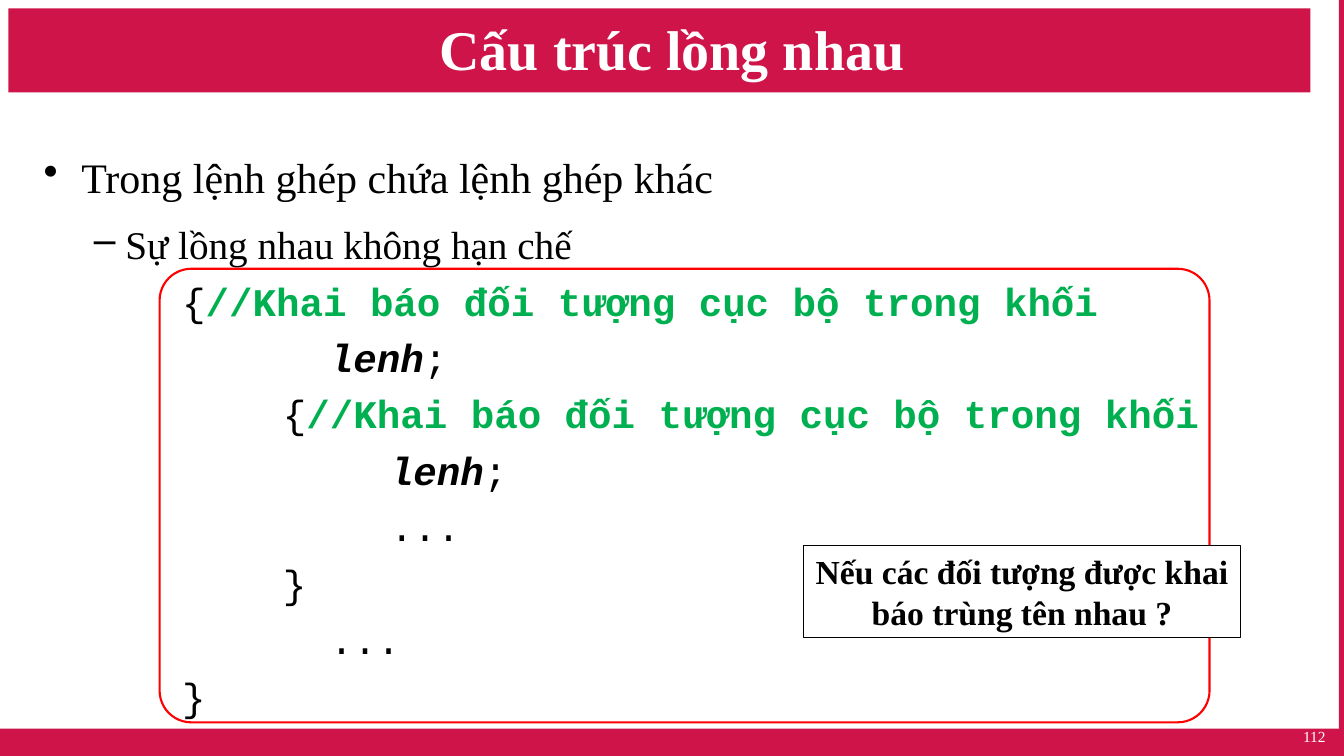
from dataclasses import dataclass, field
from typing import Any, Optional

from lxml import etree
from pptx import Presentation
from pptx.dml import color
from pptx.enum import shapes, text
from pptx.oxml import ns
from pptx.util import Pt


@dataclass(frozen=True)
class Theme:
    crimson: str = "CE1449"
    white: str = "FFFFFF"
    black: str = "000000"
    red: str = "FF0000"
    comment: str = "00B050"
    serif: str = "Times New Roman"
    mono: str = "Courier New"
    title: float = 40
    point: float = 30
    detail: float = 28
    callout: float = 24
    number: float = 11


THEME = Theme()


@dataclass(frozen=True)
class Box:
    left: float
    top: float
    width: float
    height: float

    def lengths(self) -> tuple[Pt, Pt, Pt, Pt]:
        return Pt(self.left), Pt(self.top), Pt(self.width), Pt(self.height)


@dataclass(frozen=True)
class Style:
    size: float
    name: str = THEME.serif
    color: str = THEME.black
    bold: bool = False
    italic: bool = False


@dataclass(frozen=True)
class Line:
    runs: list[tuple[str, Style]]
    format: dict[str, Any] = field(default_factory=dict)
    indent: float = 0
    hanging: float = 0
    bullet: Optional[str] = None


@dataclass(frozen=True)
class Panel:
    box: Box
    fill: Optional[str] = None
    line: Optional[str] = None
    line_width: float = 0
    kind: Any = shapes.MSO_SHAPE.RECTANGLE
    corner: Optional[float] = None


def set_attributes(target: Any, values: dict[str, Any]) -> None:
    for name, value in values.items():
        setattr(target, name, value)


def rgb(value: str) -> color.RGBColor:
    return color.RGBColor.from_string(value)


def add_panel(slide: Any, panel: Panel) -> Any:
    shape = slide.shapes.add_shape(panel.kind, *panel.box.lengths())
    shape.shadow.inherit = False
    if panel.corner is not None:
        shape.adjustments[0] = panel.corner
    if panel.fill:
        shape.fill.solid()
        shape.fill.fore_color.rgb = rgb(panel.fill)
    else:
        shape.fill.background()
    if panel.line:
        shape.line.color.rgb = rgb(panel.line)
        shape.line.width = Pt(panel.line_width)
    else:
        shape.line.fill.background()
    return shape


def write_lines(shape: Any, lines: list[Line], frame_format: dict[str, Any]) -> None:
    frame = shape.text_frame
    set_attributes(frame, {"word_wrap": True, **frame_format})
    for index, line in enumerate(lines):
        paragraph = frame.add_paragraph() if index else frame.paragraphs[0]
        properties = paragraph._p.get_or_add_pPr()
        if line.indent:
            properties.set("marL", str(Pt(line.indent)))
            properties.set("indent", str(Pt(-line.hanging)))
        if line.bullet:
            bullet = etree.SubElement(properties, ns.qn("a:buChar"))
            bullet.set("char", line.bullet)
        set_attributes(paragraph, line.format)
        for words, style in line.runs:
            run = paragraph.add_run()
            run.text = words
            set_attributes(run.font, {
                "name": style.name,
                "size": Pt(style.size),
                "bold": style.bold,
                "italic": style.italic,
            })
            run.font.color.rgb = rgb(style.color)


def add_text(slide: Any, box: Box, lines: list[Line], frame_format: dict[str, Any]) -> None:
    write_lines(slide.shapes.add_textbox(*box.lengths()), lines, frame_format)


def body_lines() -> list[Line]:
    justified = {"alignment": text.PP_ALIGN.JUSTIFY}
    point_format = {**justified, "line_spacing": 1.4}
    code_format = {**justified, "line_spacing": 1.2}
    plain = Style(THEME.detail, THEME.mono)
    comment = Style(THEME.detail, THEME.mono, THEME.comment, bold=True)
    command = Style(THEME.detail, THEME.mono, bold=True, italic=True)
    opening = [("{", plain), ("//Khai báo đối tượng cục bộ trong khối", comment)]
    call = [("lenh", command), (";", plain)]
    outer, inner, nested = 99, 171, 247.5
    code = [
        (outer, opening),
        (inner, [("  ", plain), *call]),
        (inner, opening),
        (nested, call),
        (nested, [("...", plain)]),
        (inner, [("}", plain)]),
        (inner, [("  ...", plain)]),
        (outer, [("}", plain)]),
    ]
    return [
        Line([("Trong lệnh ghép chứa lệnh ghép khác", Style(THEME.point))],
             point_format, 27, 27, "•"),
        Line([("Sự lồng nhau không hạn chế", Style(THEME.detail))],
             {**point_format, "level": 1}, 58.5, 22.5, "–"),
        *(Line(runs, code_format, indent) for indent, runs in code),
    ]


def main() -> None:
    presentation = Presentation()
    set_attributes(presentation, {"slide_width": Pt(960), "slide_height": Pt(540)})
    slide = presentation.slides.add_slide(presentation.slide_layouts[6])

    for band in (Box(6, 6, 930, 60), Box(0, 520.5, 960, 19.5), Box(956.4, 0, 3.6, 540)):
        add_panel(slide, Panel(band, fill=THEME.crimson))

    centered = {"alignment": text.PP_ALIGN.CENTER}
    middle = {"vertical_anchor": text.MSO_ANCHOR.MIDDLE}
    title_style = Style(THEME.title, color=THEME.white, bold=True)
    add_text(slide, Box(48, 12, 864, 45),
             [Line([("Cấu trúc lồng nhau", title_style)], centered)], middle)
    add_text(slide, Box(24, 90, 912, 420), body_lines(), {"margin_top": Pt(3.6)})
    add_text(slide, Box(730, 515.5, 224, 18),
             [Line([("112", Style(THEME.number, color=THEME.white))],
                   {"alignment": text.PP_ALIGN.RIGHT})],
             {**middle, "margin_top": Pt(3), "margin_bottom": Pt(0)})

    add_panel(slide, Panel(Box(114, 192, 750, 324), line=THEME.red, line_width=1.5,
                           kind=shapes.MSO_SHAPE.ROUNDED_RECTANGLE, corner=0.07))
    callout = add_panel(slide, Panel(Box(574, 389.8, 312, 65.5), THEME.white, THEME.black, 0.75))
    question = "Nếu các đối tượng được khai báo trùng tên nhau ?"
    write_lines(callout, [Line([(question, Style(THEME.callout, bold=True))], centered)], middle)

    presentation.save("out.pptx")


if __name__ == "__main__":
    main()
